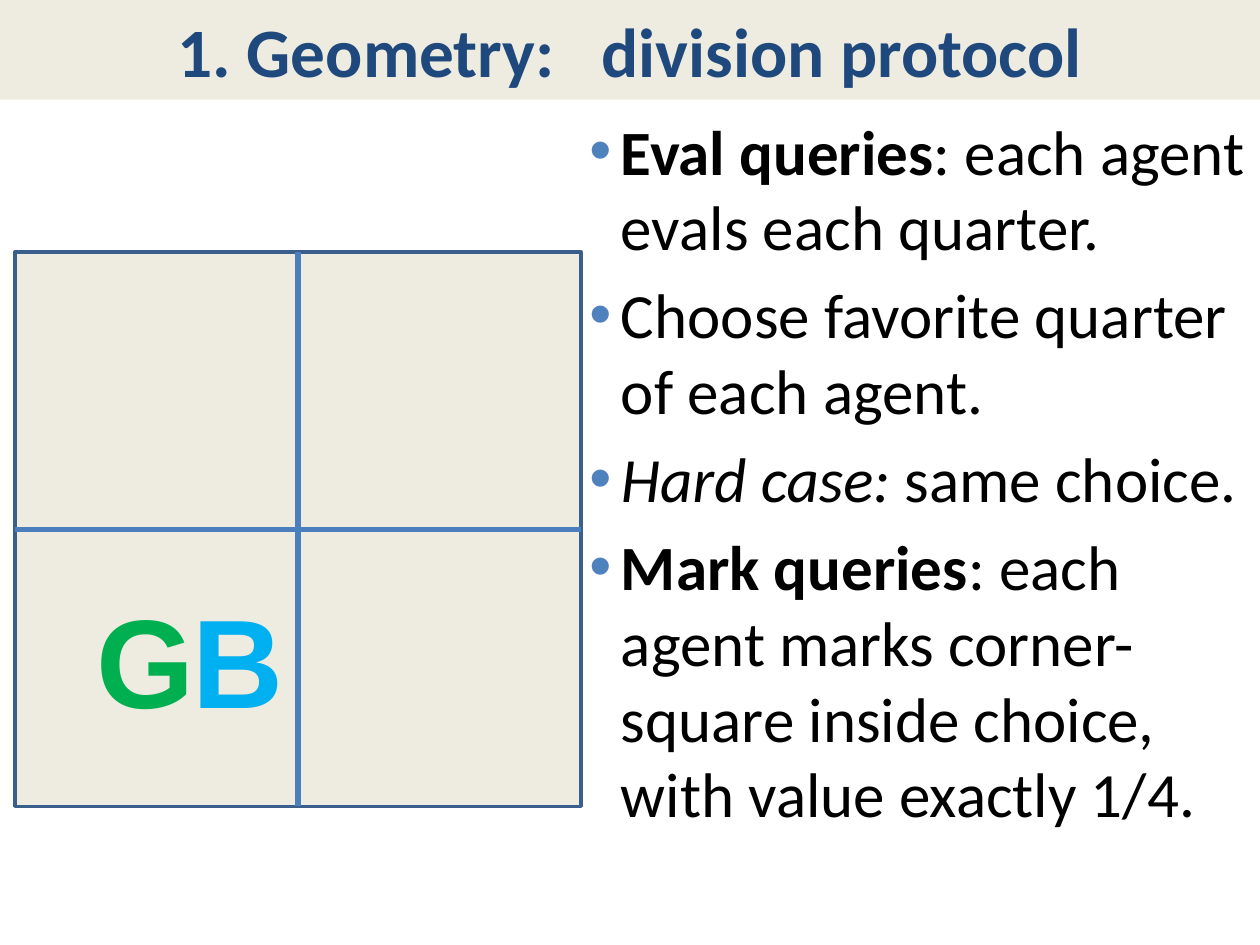
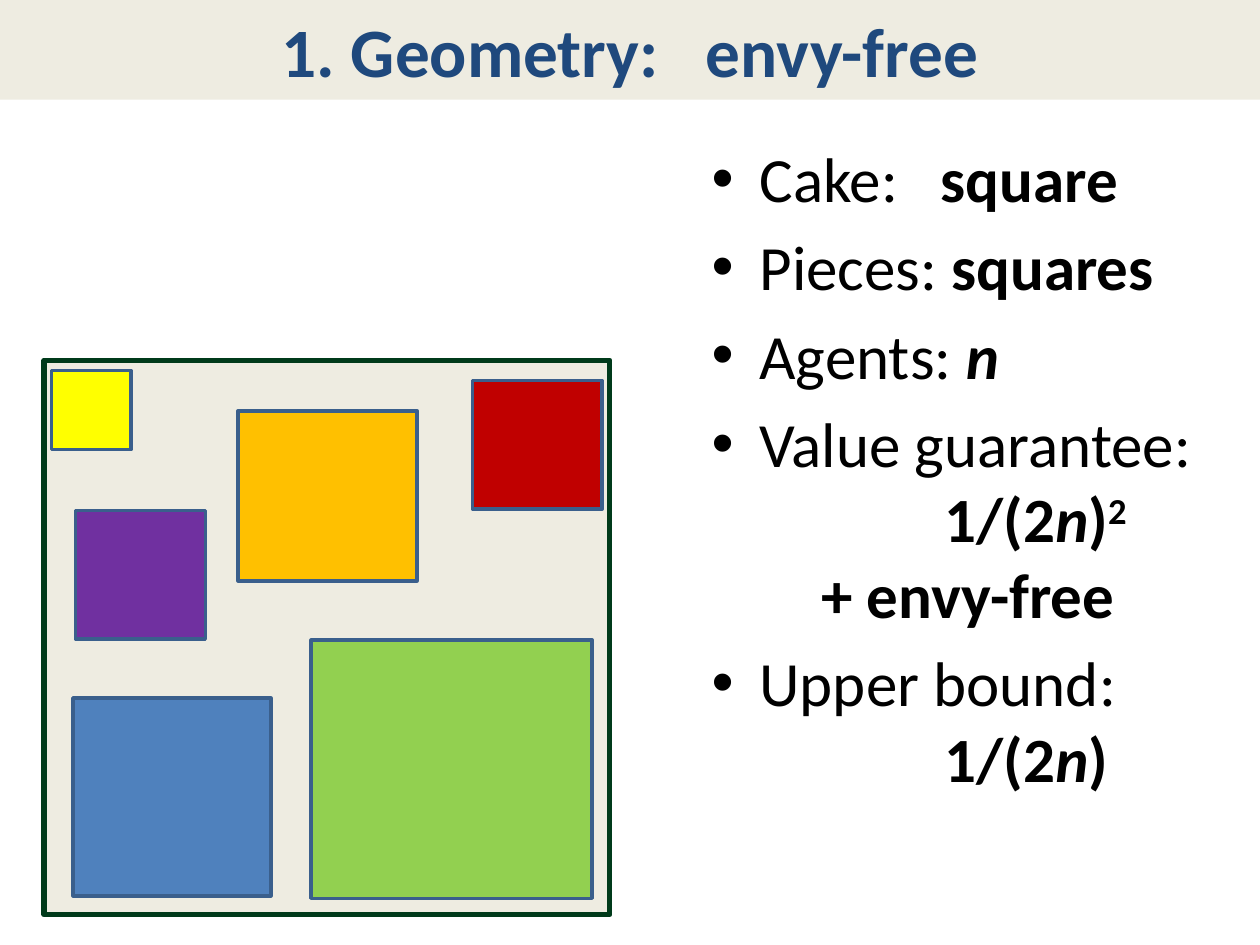
from collections import namedtuple

from pptx import Presentation
from pptx.dml.color import RGBColor
from pptx.enum.shapes import MSO_CONNECTOR, MSO_SHAPE
from pptx.enum.text import MSO_ANCHOR, PP_ALIGN
from pptx.oxml.ns import qn
from pptx.util import Inches, Pt
from lxml.etree import SubElement

Box = namedtuple("Box", "left top width height")

COLUMNS, ROWS = 100, 75
SLIDE_WIDTH, SLIDE_HEIGHT = Inches(10), Inches(7.5)
CELL_WIDTH, CELL_HEIGHT = SLIDE_WIDTH / COLUMNS, SLIDE_HEIGHT / ROWS

BODY_FONT, LETTER_FONT = "Calibri", "Arial"
TITLE_SIZE, BODY_SIZE, LETTER_SIZE = 39.6, 36, 72
SAND, NAVY, BLACK = "EEECE1", "1F497D", "000000"
BLUE, EDGE_BLUE, CUT_BLUE, DARK_GREEN = "4F81BD", "3A5F8C", "4B7EBC", "003A1A"
TITLE_BOX = Box(0, 0, COLUMNS, 7.9)
CAKE_WIDTH, CAKE_HEIGHT = 44.9, 44
HANG = 3.8


def color(hex_string):
    return RGBColor.from_string(hex_string)


def columns(count):
    return round(count * CELL_WIDTH)


def rows(count):
    return round(count * CELL_HEIGHT)


def emu(box):
    return columns(box.left), rows(box.top), columns(box.width), rows(box.height)


def inside(outer, left, top, width, height):
    return Box(outer.left + left, outer.top + top, width, height)


def add_rectangle(slide, box, fill, line=None, weight=2):
    shape = slide.shapes.add_shape(MSO_SHAPE.RECTANGLE, *emu(box))
    shape.shadow.inherit = False
    shape.fill.solid()
    shape.fill.fore_color.rgb = color(fill)
    if line:
        shape.line.color.rgb = color(line)
        shape.line.width = Pt(weight)
    else:
        shape.line.fill.background()
    return shape


def add_cut(slide, start, end):
    cut = slide.shapes.add_connector(
        MSO_CONNECTOR.STRAIGHT, columns(start[0]), rows(start[1]), columns(end[0]), rows(end[1]))
    cut.line.color.rgb = color(CUT_BLUE)
    cut.line.width = Pt(3)
    SubElement(cut.line._get_or_add_ln().getparent(), qn("a:effectLst"))


def add_runs(paragraph, runs, size, hex_string, font=BODY_FONT):
    """Style letters: b bold, i italic, s superscript, w wide space."""
    for text, style in runs:
        run = paragraph.add_run()
        run.text = text
        run.font.name = font
        run.font.size = Pt(size)
        run.font.color.rgb = color(hex_string)
        run.font.bold = "b" in style
        run.font.italic = "i" in style
        properties = run.font._element
        if "s" in style:
            properties.set("baseline", "30000")
        if "w" in style:
            properties.set("spc", str(round(size * 45)))


def add_title(slide, box, topic):
    frame = add_rectangle(slide, box, SAND).text_frame
    frame.word_wrap = True
    frame.vertical_anchor = MSO_ANCHOR.MIDDLE
    paragraph = frame.paragraphs[0]
    paragraph.alignment = PP_ALIGN.CENTER
    add_runs(paragraph, [("1. Geometry:", "b"), (" ", "bw"), (topic, "b")], TITLE_SIZE, NAVY)


def set_indent(paragraph, margin, first_line):
    properties = paragraph._p.get_or_add_pPr()
    properties.set("marL", str(columns(margin)))
    properties.set("indent", str(columns(first_line)))
    return properties


def add_list(slide, box, items, hang, bullet_color):
    frame = slide.shapes.add_textbox(*emu(box)).text_frame
    frame.word_wrap = True
    for index, (margin, runs) in enumerate(items):
        paragraph = frame.paragraphs[0] if index == 0 else frame.add_paragraph()
        bulleted = margin == HANG
        paragraph.space_before = Pt(BODY_SIZE * 0.2 if bulleted else 0)
        properties = set_indent(paragraph, margin, -hang if bulleted else 0)
        if bulleted:
            bullet = SubElement(properties, qn("a:buClr"))
            SubElement(bullet, qn("a:srgbClr")).set("val", bullet_color)
            SubElement(properties, qn("a:buFont")).set("typeface", LETTER_FONT)
            SubElement(properties, qn("a:buChar")).set("char", "•")
        else:
            SubElement(properties, qn("a:buNone"))
        add_runs(paragraph, runs, BODY_SIZE, BLACK)


def add_agent(slide, box, letter, hex_string):
    frame = slide.shapes.add_textbox(*emu(box)).text_frame
    frame.word_wrap = False
    paragraph = frame.paragraphs[0]
    paragraph.line_spacing = 0.93
    add_runs(paragraph, [(letter, "b")], LETTER_SIZE, hex_string, LETTER_FONT)


def add_quartered_cake(slide, box):
    add_rectangle(slide, box, SAND, EDGE_BLUE)
    right, bottom = box.left + box.width, box.top + box.height
    center, middle = box.left + box.width / 2, box.top + box.height / 2
    add_cut(slide, (center, box.top), (center, bottom))
    add_cut(slide, (box.left, middle), (right, middle))
    for left, width, letter, hex_string in [(5.5, 9.9, "G", "00B050"), (13.1, 9.3, "B", "00B0F0")]:
        add_agent(slide, inside(box, left, 26.8, width, 12.5), letter, hex_string)


def add_cake_with_pieces(slide, box):
    add_rectangle(slide, box, SAND, DARK_GREEN, 3)
    pieces = [
        (0.6, 0.8, 6.3, 6.3, "FFFF00"),
        (21.2, 22.2, 22.3, 20.5, "92D050"),
        (2.3, 26.8, 15.7, 15.7, BLUE),
        (34, 1.6, 10.3, 10.2, "C00000"),
        (15.4, 4, 14.2, 13.5, "FFC000"),
        (2.5, 11.9, 10.3, 10.2, "7030A0"),
    ]
    for *place, fill in pieces:
        add_rectangle(slide, inside(box, *place), fill, EDGE_BLUE)


def add_slide(presentation, topic):
    slide = presentation.slides.add_slide(presentation.slide_layouts[6])
    add_title(slide, TITLE_BOX, topic)
    return slide


def build_protocol_slide(presentation):
    slide = add_slide(presentation, "division protocol")
    add_quartered_cake(slide, Box(1.2, 20, CAKE_WIDTH, CAKE_HEIGHT))
    steps = [
        [("Eval queries", "b"), (": each agent evals each quarter.", "")],
        [("Choose favorite quarter of each agent.", "")],
        [("Hard case: ", "i"), ("same choice.", "")],
        [("Mark queries", "b"),
         (": each agent marks corner-square inside choice, with value exactly 1/4.", "")],
    ]
    add_list(slide, Box(44.5, 8.4, 55.5, 59.9), [(HANG, step) for step in steps], 2.5, BLUE)


def build_envy_free_slide(presentation):
    slide = add_slide(presentation, "envy-free")
    bound = [("1/(2", "b"), ("n", "bi"), (")", "b")]
    facts = [
        (HANG, [("Cake:", ""), (" ", "w"), ("square", "b")]),
        (HANG, [("Pieces: ", ""), ("squares", "b")]),
        (HANG, [("Agents: ", ""), ("n", "bi")]),
        (HANG, [("Value guarantee:", "")]),
        (18.5, bound + [("2", "bs")]),
        (8.7, [("+ envy-free", "b")]),
        (HANG, [("Upper bound:", "")]),
        (18.5, bound),
    ]
    add_list(slide, Box(55.5, 10.6, 42.6, 60.5), facts, HANG, BLACK)
    add_cake_with_pieces(slide, Box(3.5, 28.6, CAKE_WIDTH, CAKE_HEIGHT))


def main():
    presentation = Presentation()
    presentation.slide_width, presentation.slide_height = SLIDE_WIDTH, SLIDE_HEIGHT
    build_protocol_slide(presentation)
    build_envy_free_slide(presentation)
    presentation.save("out.pptx")


if __name__ == "__main__":
    main()
